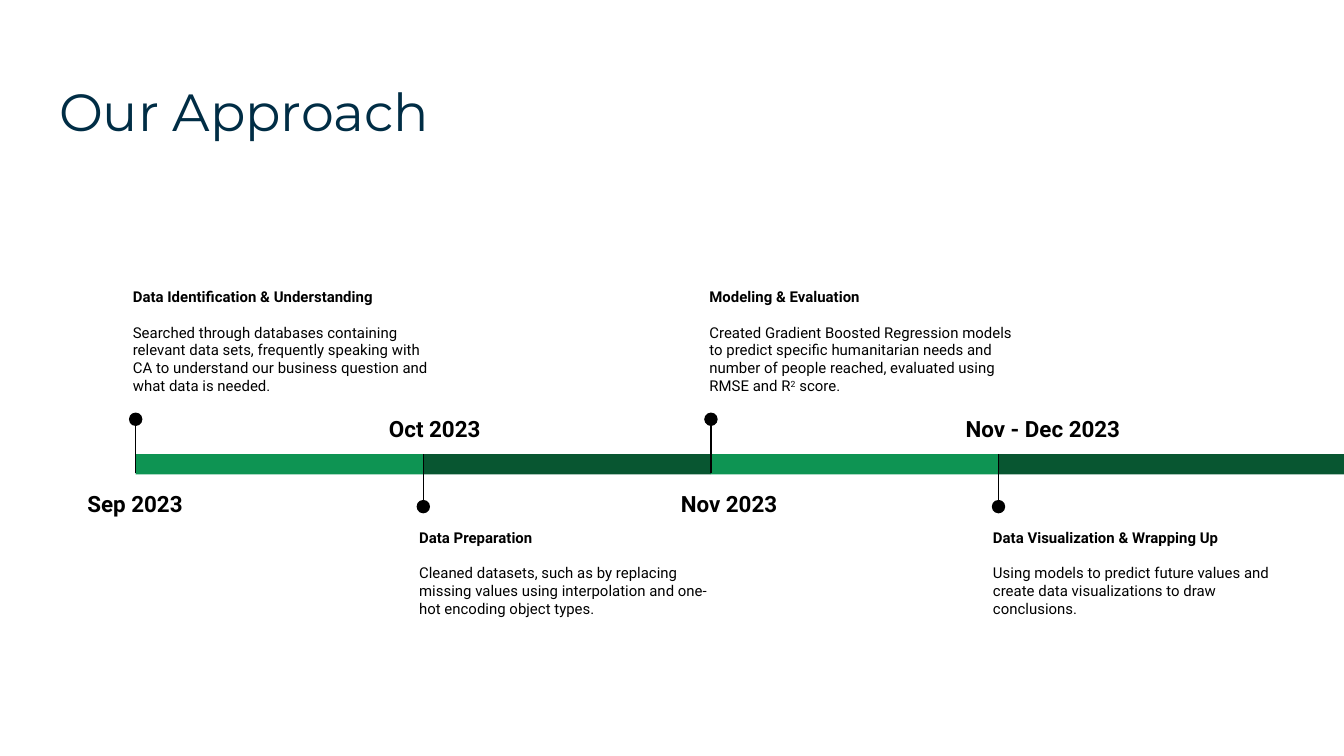
from pptx import Presentation
from pptx.dml.color import RGBColor
from pptx.enum.shapes import MSO_CONNECTOR, MSO_SHAPE
from pptx.enum.text import MSO_ANCHOR, MSO_AUTO_SIZE, PP_ALIGN
from pptx.oxml.ns import qn
from pptx.util import Inches, Pt

RECT, OVAL = MSO_SHAPE.RECTANGLE, MSO_SHAPE.OVAL
STRAIGHT = MSO_CONNECTOR.STRAIGHT
TOP, NO_FIT = MSO_ANCHOR.TOP, MSO_AUTO_SIZE.NONE
LEFT, CENTER = PP_ALIGN.LEFT, PP_ALIGN.CENTER

TITLE = "Our Approach"
# date, date left, date width, heading, note left, note as (text, superscript) runs
PHASES = [
    ("Sep 2023", 0.53, 0.95, "Data Identification & Understanding", 0.89,
     [("Searched through databases containing relevant data sets, frequently speaking "
       "with CA to understand our business question and what data is needed.", False)]),
    ("Oct 2023", 2.75, 0.97, "Data Preparation", 3.02,
     [("Cleaned datasets, such as by replacing missing values using interpolation and "
       "one-hot encoding object types.", False)]),
    ("Nov 2023", 4.94, 0.97, "Modeling & Evaluation", 5.18,
     [("Created Gradient Boosted Regression models to predict specific humanitarian "
       "needs and number of people reached, evaluated using RMSE and R", False),
      ("2", True), (" score.", False)]),
    ("Nov - Dec 2023", 7.02, 1.48, "Data Visualization & Wrapping Up", 7.29,
     [("Using models to predict future values and create data visualizations to draw "
       "conclusions.", False)]),
]

THEME = {
    "title": ("Montserrat", 28, RGBColor(0x00, 0x2D, 0x45)),
    "date": ("Roboto", 12, RGBColor(0, 0, 0)),
    "note": ("Roboto", 8, RGBColor(0, 0, 0)),
    "bars": (RGBColor(0x0E, 0x94, 0x53), RGBColor(0x08, 0x56, 0x31)),
    "marker": RGBColor(0, 0, 0),
}

SLIDE_W = 10
SLIDE_H = SLIDE_W * 9 / 16
BAR_LEFT, BAR_STEP, BAR_TOP, BAR_H = 1, 2.14, 3.38, 0.15
BAR_LEFT += 0.01
DOT = 0.1
# Phases alternate: notes above the bar, then below it.
ABOVE = {"stem": (3.13, 3.52), "dot": 3.07, "date": 3.52, "note": 2.04}
BELOW = {"stem": (3.77, 3.38), "dot": 3.72, "date": 2.96, "note": 3.83}


def style(r, role, bold=False):
    name, size, color = THEME[role]
    r.font.name, r.font.size, r.font.bold = name, Pt(size), bold
    r.font.color.rgb = color


def prepare(tf):
    """Wrap, anchor at the top and use equal insets."""
    tf.word_wrap, tf.auto_size, tf.vertical_anchor = True, NO_FIT, TOP
    tf.margin_left = tf.margin_right = tf.margin_top = tf.margin_bottom = Inches(0.1)


def add_text_box(s, x, y, w, h):
    tf = s.shapes.add_textbox(Inches(x), Inches(y), Inches(w), Inches(h)).text_frame
    prepare(tf)
    return tf


def add_solid(s, kind, x, y, w, h, color):
    sp = s.shapes.add_shape(kind, Inches(x), Inches(y), Inches(w), Inches(h))
    sp.shadow.inherit = False
    sp.fill.solid()
    sp.fill.fore_color.rgb = color
    sp.line.fill.background()


def add_stem(s, x, y1, y2):
    line = s.shapes.add_connector(STRAIGHT, Inches(x), Inches(y1), Inches(x), Inches(y2))
    line.line.color.rgb = THEME["marker"]
    line.line.width = Pt(0.75)
    spPr = line._element.spPr
    spPr.append(spPr.makeelement(qn("a:effectLst"), {}))


def add_date(s, text, x, y, w):
    p = add_text_box(s, x, y, w, 0.41).paragraphs[0]
    p.text = text
    p.alignment, p.line_spacing = CENTER, 1.15
    style(p.runs[0], "date", bold=True)


def add_note(s, heading, parts, x, y):
    tf = add_text_box(s, x, y, 2.46, 1.03)
    p = tf.paragraphs[0]
    p.text = heading
    p.space_after = Pt(9.5)
    style(p.runs[0], "note", bold=True)
    p = tf.add_paragraph()
    for text, superscript in parts:
        r = p.add_run()
        r.text = text
        style(r, "note")
        if superscript:
            r._r.get_or_add_rPr().set("baseline", "30000")


def add_phase(s, i, phase):
    date, date_x, date_w, heading, note_x, parts = phase
    rows = BELOW if i % 2 else ABOVE
    x = BAR_LEFT + i * BAR_STEP
    end = SLIDE_W if i == len(PHASES) - 1 else x + BAR_STEP
    add_solid(s, RECT, x, BAR_TOP, end - x, BAR_H, THEME["bars"][i % 2])
    add_stem(s, x, *rows["stem"])
    add_solid(s, OVAL, x - DOT / 2, rows["dot"], DOT, DOT, THEME["marker"])
    add_date(s, date, date_x, rows["date"], date_w)
    add_note(s, heading, parts, note_x, rows["note"])


def main():
    prs = Presentation()
    prs.slide_width, prs.slide_height = Inches(SLIDE_W), Inches(SLIDE_H)
    s = prs.slides.add_slide(prs.slide_layouts[5])

    title = s.shapes.title
    title.left, title.top = Inches(0.34), Inches(0.49)
    title.width, title.height = Inches(9.32), Inches(0.63)
    tf = title.text_frame
    prepare(tf)
    tf.text = TITLE
    p = tf.paragraphs[0]
    p.alignment = LEFT
    style(p.runs[0], "title")

    for i, phase in enumerate(PHASES):
        add_phase(s, i, phase)
    prs.save("out.pptx")


if __name__ == "__main__":
    main()
